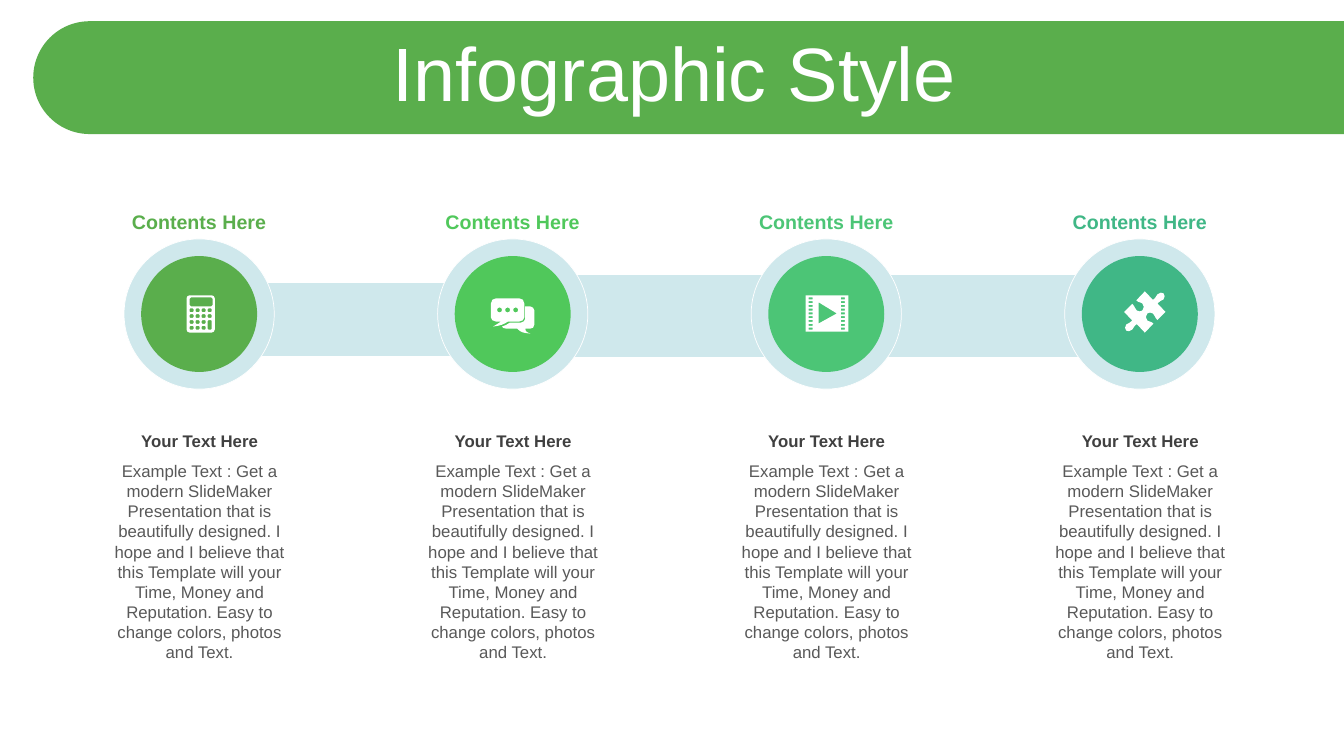
from lxml import etree
from pptx import Presentation, util as u
from pptx.dml.color import RGBColor
from pptx.enum import shapes, text
from pptx.oxml.ns import qn

WIDTH, HEIGHT = 13.33, 7.5
FONT = "Arial"
WHITE, TRACK = "FFFFFF", "CFE8EC"
FIRST_CENTER, PITCH, COLUMN = 1.975, 3.11, 2.26
CIRCLE_Y, RING, DISC = 3.115, 1.49, 1.15
BODY = ("Example Text : Get a modern SlideMaker Presentation that is beautifully "
        "designed. I hope and I believe that this Template will your Time, Money "
        "and Reputation. Easy to change colors, photos and Text.")
KIND = shapes.MSO_SHAPE
PUZZLE_HALF = [
    [(.185, -.185)],
    [(.2, -.17), (.2, -.145), (.185, -.125)],
    [(.165, -.105), (.145, -.115), (.125, -.085)],
    [(.205, 0)],
    [(.125, .08)],
    [(.095, .055), (.105, .035), (.08, .015)],
    [(.065, 0), (.035, .005), (.025, .015)],
    [(.005, .035), (.005, .065), (.025, .085)],
    [(.045, .105), (.055, .085), (.085, .115)],
    [(0, .205)],
    [(-.08, .12)],
    [(-.115, .145), (-.105, .155), (-.125, .175)],
    [(-.145, .195), (-.175, .195), (-.185, .185)],
]
BACK_BUBBLE = [
    [(.34, .08)],
    [(.39, .08)],
    [(.41, .08), (.43, .1), (.43, .12)],
    [(.43, .26)],
    [(.43, .29), (.41, .3), (.39, .3)],
    [(.34, .3)],
    [(.34, .32), (.34, .33), (.39, .35)],
    [(.31, .34), (.3, .34), (.26, .3)],
    [(.15, .3)],
    [(.13, .3), (.11, .29), (.11, .28)],
    [(.14, .27), (.16, .26), (.19, .24)],
    [(.3, .24)],
    [(.32, .24), (.34, .22), (.34, .2)],
]
FRONT_BUBBLE = [
    [(.05, 0)],
    [(.28, 0)],
    [(.31, 0), (.33, .02), (.33, .05)],
    [(.33, .19)],
    [(.33, .21), (.31, .23), (.28, .23)],
    [(.17, .23)],
    [(.12, .26), (.1, .27), (.02, .28)],
    [(.07, .25), (.07, .25), (.1, .23)],
    [(.05, .23)],
    [(.02, .23), (0, .21), (0, .19)],
    [(0, .05)],
    [(0, .02), (.02, 0), (.05, 0)],
]


def color(value):
    return RGBColor.from_string(value)


def paint(shape, fill, line=None):
    shape.shadow.inherit = False
    shape.fill.solid()
    shape.fill.fore_color.rgb = color(fill)
    if line:
        shape.line.color.rgb = color(line)
        shape.line.width = u.Pt(.5)
    else:
        shape.line.fill.background()
    return shape


def block(slide, kind, x, y, w, h, fill, line=None):
    return paint(slide.shapes.add_shape(kind, *map(u.Inches, (x, y, w, h))), fill, line)


def circle(slide, x, y, size, fill, line=None):
    return block(slide, KIND.OVAL, x - size / 2, y - size / 2, size, size, fill, line)


def label(slide, x, y, w, h, words, size, ink, bold=False):
    frame = slide.shapes.add_textbox(*map(u.Inches, (x, y, w, h))).text_frame
    frame.word_wrap = True
    line = frame.paragraphs[0]
    line.text = words
    line.alignment = text.PP_ALIGN.CENTER
    line.font.name = FONT
    line.font.size = u.Pt(size)
    line.font.bold = bold
    line.font.color.rgb = color(ink)
    return frame


def glyph(slide, x, y, contours):
    def place(point):
        return u.Inches(x + point[0]), u.Inches(y + point[1])

    builder = slide.shapes.build_freeform(*place(contours[0][0][0]), scale=1.0)
    for index, contour in enumerate(contours):
        if index:
            builder.move_to(*place(contour[0][0]))
        builder.add_line_segments([place(p) for segment in contour[1:] for p in segment])
    shape = paint(builder.convert_to_shape(), WHITE)
    strokes = iter(list(shape.element.iter(qn("a:lnTo"))))
    for contour in contours:
        for segment in contour[1:]:
            parts = [next(strokes) for _ in segment]
            if len(parts) == 3:
                bend = etree.Element(qn("a:cubicBezTo"))
                parts[0].addprevious(bend)
                for part in parts:
                    bend.append(part[0])
                    part.getparent().remove(part)
        closing = next(strokes, None) if contour[-1][-1] != contour[0][0] else None
        if closing is not None:
            closing.getparent().remove(closing)


def rectangle(x, y, w, h):
    return [[(x, y)], [(x + w, y)], [(x + w, y + h)], [(x, y + h)], [(x, y)]]


def rounded(x, y, w, h, r):
    right, bottom, k = x + w, y + h, .45 * r
    return [
        [(x + r, y)], [(right - r, y)],
        [(right - k, y), (right, y + k), (right, y + r)], [(right, bottom - r)],
        [(right, bottom - k), (right - k, bottom), (right - r, bottom)], [(x + r, bottom)],
        [(x + k, bottom), (x, bottom - k), (x, bottom - r)], [(x, y + r)],
        [(x, y + k), (x + k, y), (x + r, y)],
    ]


def closed(contour):
    return contour if contour[-1][-1] == contour[0][0] else contour + [contour[0]]


def calculator(slide, x, y):
    keys = [rounded(.03 + .06 * column, .13 + .058 * row, .04,
                    .095 if (row, column) == (2, 3) else .037, .008)
            for row in range(4) for column in range(4) if (row, column) != (3, 3)]
    glyph(slide, x - .125, y - .185,
          [rounded(0, 0, .28, .37, .03), rounded(.03, .02, .23, .09, .015), *keys])


def chat(slide, x, y):
    dots = [rounded(.06 + .08 * dot, .09, .05, .05, .025) for dot in range(3)]
    glyph(slide, x - .215, y - .155, [closed(BACK_BUBBLE), FRONT_BUBBLE, *dots])


def film(slide, x, y):
    holes = [rectangle(side, .02 + .0375 * row, .04, .02)
             for row in range(9) for side in (.03, .35)]
    play = [[(.13, .07)], [(.13, .28)], [(.31, .18)], [(.13, .07)]]
    glyph(slide, x - .205, y - .185, [rectangle(0, 0, .425, .36), play, *holes])


def puzzle(slide, x, y):
    turned = [[(-dx, -dy) for dx, dy in segment] for segment in PUZZLE_HALF[1:]]
    glyph(slide, x + .05, y - .02, [closed(PUZZLE_HALF + turned)])


def banner(slide, x, y, w, h):
    bar = block(slide, KIND.ROUND_2_SAME_RECTANGLE, x + (w - h) / 2, y - (w - h) / 2,
                h, w, "5AAE4C")
    bar.adjustments[0], bar.adjustments[1] = .5, 0
    bar.rotation = 270
    title = label(slide, x + .03, y + .16, 12.66, .79, "Infographic Style", 54, WHITE)
    title.vertical_anchor = text.MSO_ANCHOR.MIDDLE
    title.paragraphs[0].line_spacing = .9


def track(slide):
    for x, y, w, h in ((5.09, 2.72, 2.71, .83), (7.68, 2.72, 3.64, .83),
                       (1.98, 2.8, 3.33, .74)):
        block(slide, KIND.RECTANGLE, x, y, w, h, TRACK, WHITE)


def step_column(slide, center, accent, icon):
    left = center - COLUMN / 2
    circle(slide, center, CIRCLE_Y, RING, TRACK, WHITE)
    circle(slide, center, CIRCLE_Y, DISC, accent)
    label(slide, left + .07, 4.22, 2.13, .3, "Your Text Here", 12, "404040", True)
    label(slide, left + .07, 4.52, 2.13, 2.12, BODY, 12, "595959")
    label(slide, left, 2.03, COLUMN, .34, "Contents Here", 14, accent, True)
    icon(slide, center, CIRCLE_Y)


def main():
    deck = Presentation()
    deck.slide_width, deck.slide_height = u.Inches(WIDTH), u.Inches(HEIGHT)
    slide = deck.slides.add_slide(deck.slide_layouts[6])
    banner(slide, .33, .21, 13, 1.12)
    track(slide)
    steps = (("5AAE4C", calculator), ("50C85B", chat), ("4CC576", film), ("40B786", puzzle))
    for index, (accent, icon) in enumerate(steps):
        step_column(slide, FIRST_CENTER + PITCH * index, accent, icon)
    deck.save("out.pptx")


if __name__ == "__main__":
    main()
